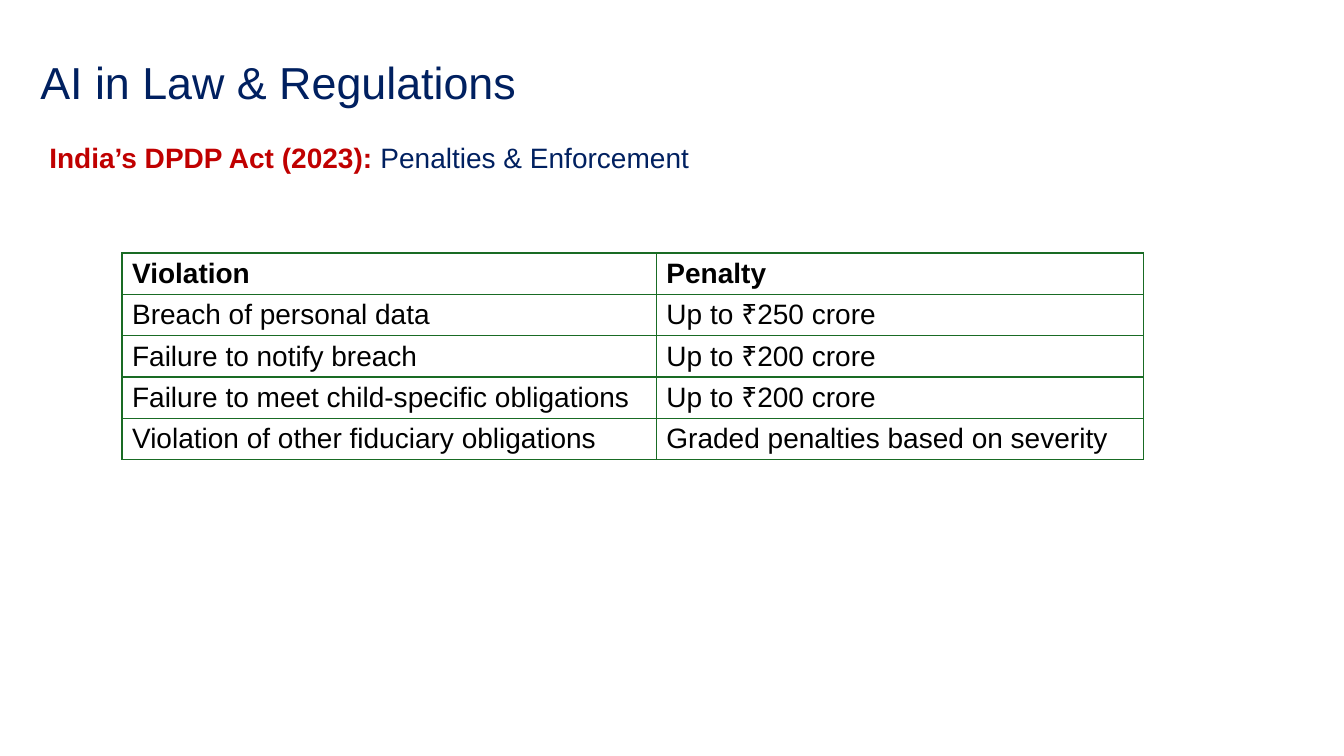
from dataclasses import dataclass

from lxml import etree
from pptx import Presentation
from pptx.dml.color import RGBColor
from pptx.enum.text import MSO_ANCHOR, MSO_AUTO_SIZE, PP_ALIGN
from pptx.oxml.ns import qn
from pptx.util import Pt

LEFT = PP_ALIGN.LEFT
TOP, MIDDLE = MSO_ANCHOR.TOP, MSO_ANCHOR.MIDDLE
NO_FIT = MSO_AUTO_SIZE.NONE
TITLE_ONLY = 5
SCALE = 9144  # EMU per px, 100 px to the inch


@dataclass(frozen=True)
class Theme:
    font: str = "Arial"
    navy: str = "002060"
    red: str = "C00000"
    black: str = "000000"
    green: str = "196B24"
    head: int = 32
    body: int = 20
    rule: int = 1


THEME = Theme()
ROWS = [
    ("Violation", "Penalty"),
    ("Breach of personal data", "Up to ₹250 crore"),
    ("Failure to notify breach", "Up to ₹200 crore"),
    ("Failure to meet child-specific obligations", "Up to ₹200 crore"),
    ("Violation of other fiduciary obligations",
     "Graded penalties based on severity"),
]


def px(count):
    return count * SCALE


def add_run(para, text, size, color, bold=False):
    run = para.add_run()
    run.text = text
    font = run.font
    font.name, font.size, font.bold = THEME.font, Pt(size), bold
    font.color.rgb = RGBColor.from_string(color)


def set_frame(frame, anchor, spacing):
    """Prepare a text frame and return its first paragraph."""
    frame.word_wrap = True
    frame.auto_size = NO_FIT
    frame.vertical_anchor = anchor
    para = frame.paragraphs[0]
    para.alignment = LEFT
    para.line_spacing = spacing
    return para


def add_title(slide, left, top, width, height):
    title = slide.shapes.title
    title.left, title.top = px(left), px(top)
    title.width, title.height = px(width), px(height)
    para = set_frame(title.text_frame, MIDDLE, 1.5)
    add_run(para, "AI in Law & Regulations", THEME.head, THEME.navy)


def add_lead(slide, left, top, width, height):
    box = slide.shapes.add_textbox(px(left), px(top), px(width), px(height))
    para = set_frame(box.text_frame, TOP, 0.9)
    add_run(para, "India’s DPDP Act (2023): ", THEME.body, THEME.red, True)
    add_run(para, "Penalties & Enforcement", THEME.body, THEME.navy)


def add_rules(cell):
    """Draw the four borders, which must come before the cell's fill."""
    props = cell._tc.get_or_add_tcPr()
    for index, side in enumerate(("a:lnL", "a:lnR", "a:lnT", "a:lnB")):
        line = etree.Element(qn(side), w=str(Pt(THEME.rule)))
        fill = etree.SubElement(line, qn("a:solidFill"))
        etree.SubElement(fill, qn("a:srgbClr"), val=THEME.green)
        props.insert(index, line)


def add_grid(slide, left, top, widths, height):
    """Place the penalty table, with each row of the given height."""
    table = slide.shapes.add_table(
        len(ROWS), len(widths), px(left), px(top),
        px(sum(widths)), px(height * len(ROWS))).table
    table.horz_banding = False
    for col, width in zip(table.columns, widths):
        col.width = px(width)
    for index, texts in enumerate(ROWS):
        table.rows[index].height = px(height)
        for col, text in enumerate(texts):
            cell = table.cell(index, col)
            cell.fill.background()
            cell.vertical_anchor = MIDDLE
            cell.margin_left = cell.margin_right = px(10)
            cell.margin_top = cell.margin_bottom = px(4)
            add_rules(cell)
            add_run(cell.text_frame.paragraphs[0], text,
                    THEME.body, THEME.black, index == 0)


def main():
    deck = Presentation()
    deck.slide_width, deck.slide_height = px(1333), px(750)
    slide = deck.slides.add_slide(deck.slide_layouts[TITLE_ONLY])
    add_title(slide, 30, 19, 1268, 98)
    add_lead(slide, 39, 138, 679, 565)
    add_grid(slide, 121, 251, (530, 483), 41)
    deck.save("out.pptx")


if __name__ == "__main__":
    main()
